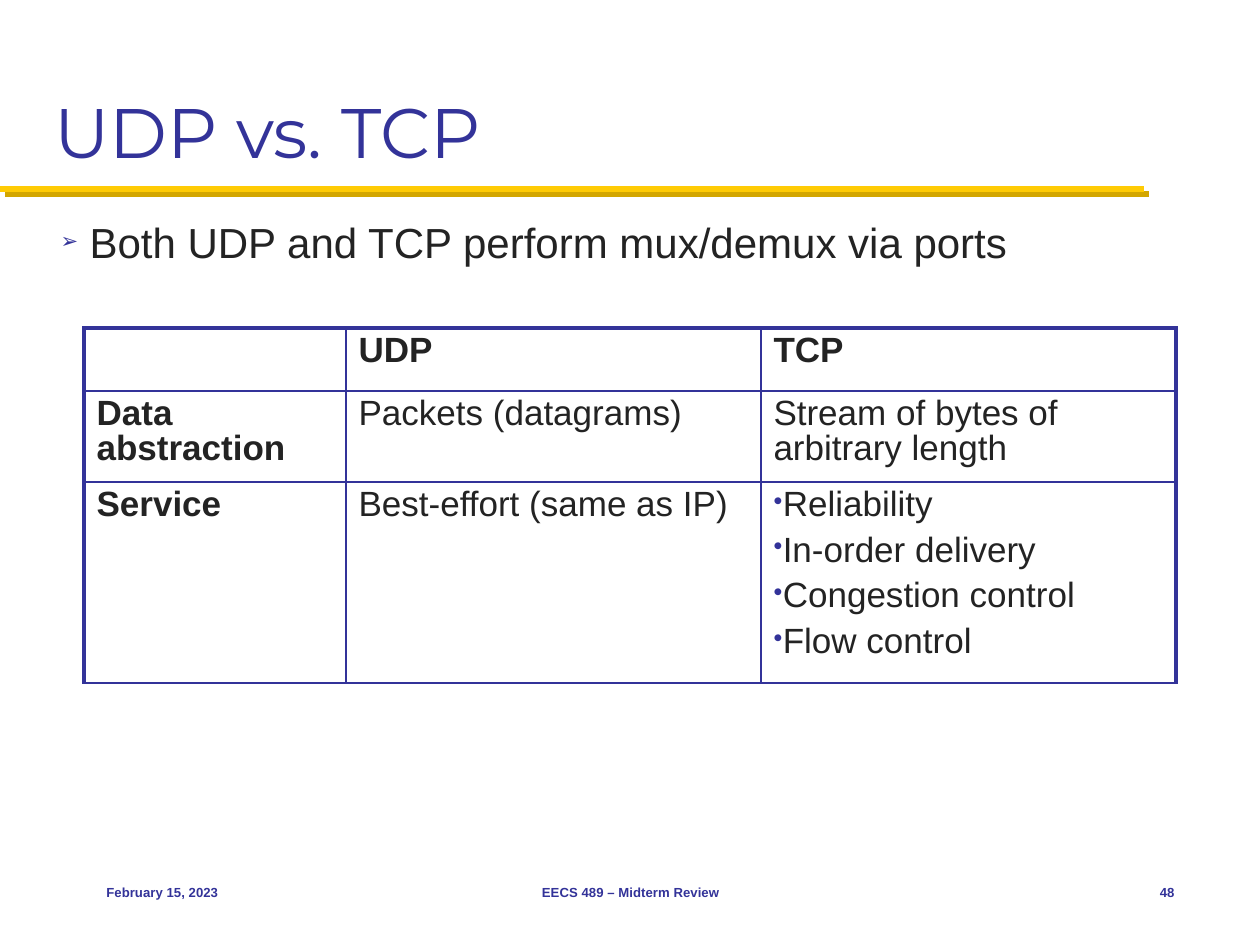
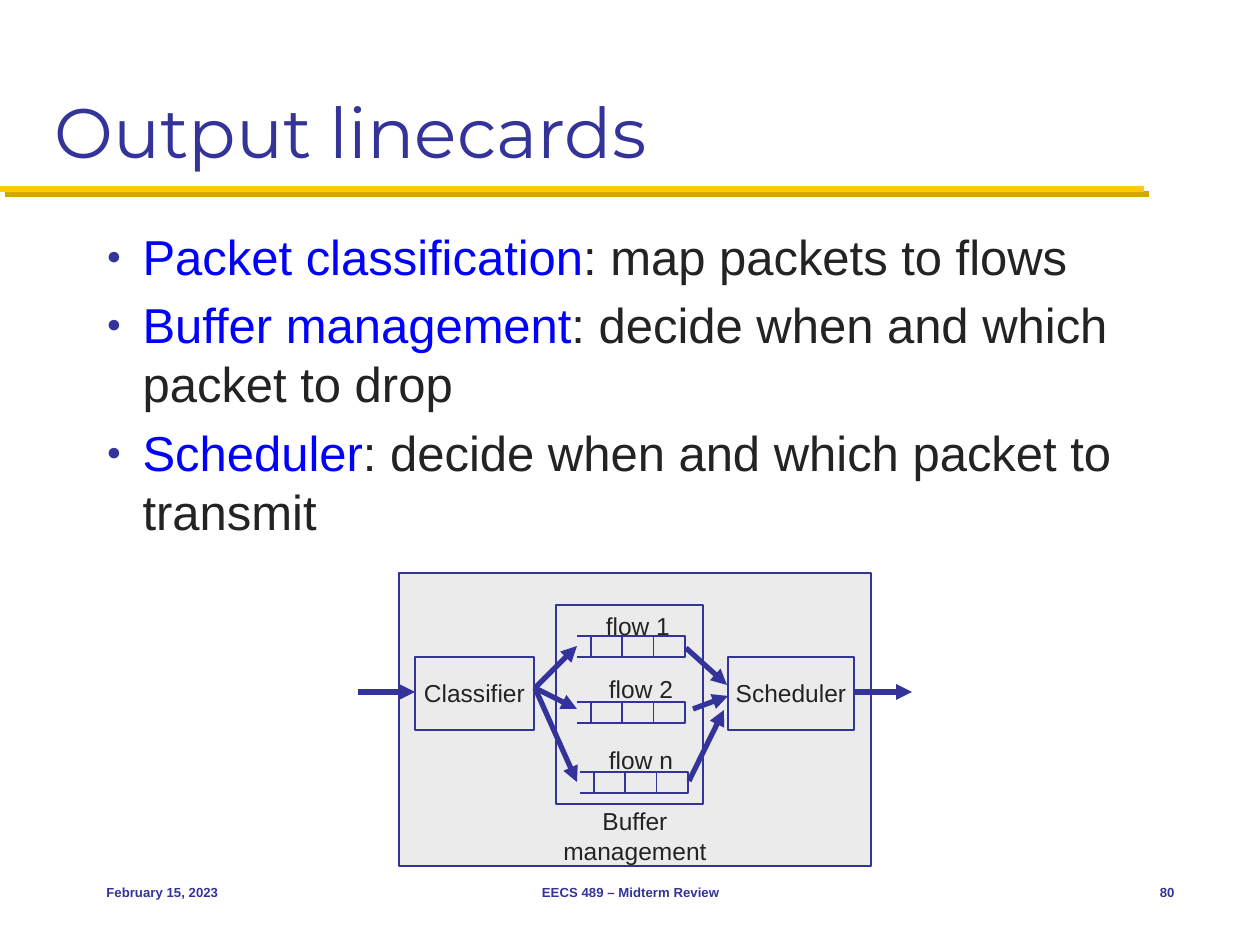
"""Builds two networking review slides: a protocol comparison and a linecard diagram."""
import lxml.etree
import pptx
import pptx.dml.color
import pptx.enum.shapes
import pptx.enum.text
import pptx.oxml.ns
import pptx.util

RGB = pptx.dml.color.RGBColor
NAVY = RGB(0x33, 0x33, 0x99)
INK = RGB(0x23, 0x23, 0x23)
BLUE = RGB(0x00, 0x00, 0xFF)
GOLD = RGB(0xFF, 0xCB, 0x05)
DARK_GOLD = RGB(0xD3, 0xA6, 0x00)
PALE = RGB(0xEB, 0xEB, 0xEB)

ALIGN = pptx.enum.text.PP_ALIGN
ANCHOR = pptx.enum.text.MSO_ANCHOR
NO_AUTOSIZE = pptx.enum.text.MSO_AUTO_SIZE.NONE
RECTANGLE = pptx.enum.shapes.MSO_SHAPE.RECTANGLE
STRAIGHT = pptx.enum.shapes.MSO_CONNECTOR.STRAIGHT
PIXELS_PER_INCH = 126

DATE = "February 15, 2023"
COURSE = "EECS 489 – Midterm Review"
TITLE_BOX = (42, 21, 1176, 158)
BAND = (0, 189, 1144, 189)
DATE_BOX = (94, 861, 262, 63)
COURSE_BOX = (431, 861, 399, 63)
NUMBER_BOX = (1102, 861, 85, 63)

PORTS = "Both UDP and TCP perform mux/demux via ports"
PORTS_BOX = (0, 210, 1113, 95)
COMPARISON = [
    [[], ["UDP"], ["TCP"]],
    [["Data abstraction"], ["Packets (datagrams)"], ["Stream of bytes of arbitrary length"]],
    [["Service"], ["Best-effort (same as IP)"],
     ["Reliability", "In-order delivery", "Congestion control", "Flow control"]],
]
COMPARISON_ORIGIN = (84, 328)
COLUMN_WIDTHS = (262, 415, 415)
ROW_HEIGHTS = (63, 91, 201)

DUTIES = [
    ("Packet classification", ": map packets to flows"),
    ("Buffer management", ": decide when and which packet to drop"),
    ("Scheduler", ": decide when and which packet to transmit"),
]
DUTIES_BOX = (94, 220, 1092, 609)
LINECARD_BOXES = [
    ((399, 573, 472, 293), PALE),
    ((556, 605, 147, 199), PALE),
    ((415, 657, 119, 73), None),
    ((728, 657, 126, 73), None),
]
QUEUES = [(577, 636), (577, 702), (580, 772)]
QUEUE_HEIGHT = 21
QUEUE_LEAD = 14
SLOT_WIDTH = 31.25
SLOTS = 3
LABELS = [
    ("Classifier", (411, 672, 127, 42), False),
    ("Scheduler", (723, 672, 136, 42), False),
    ("flow 1", (593, 605, 90, 42), False),
    ("flow 2", (596, 668, 90, 42), False),
    ("flow n", (596, 739, 90, 42), False),
    ("Buffer management", (529, 800, 212, 72), True),
]
ARROWS = [
    (358, 692, 415, 692),
    (535, 688, 577, 646),
    (535, 688, 577, 709),
    (535, 688, 577, 782),
    (686, 648, 727, 685),
    (693, 709, 728, 696),
    (689, 781, 724, 710),
    (855, 692, 912, 692),
]


def px(*lengths):
    return [pptx.util.Inches(length / PIXELS_PER_INCH) for length in lengths]


def add_xml(parent, tag, **attributes):
    child = lxml.etree.SubElement(parent, pptx.oxml.ns.qn(tag))
    for key, value in attributes.items():
        child.set(key, str(value))
    return child


def style(font, size, color, bold=False, face="Arial"):
    font.name, font.size, font.bold = face, pptx.util.Pt(size), bold
    font.color.rgb = color


def set_bullet(paragraph, char, percent, margin=0, hanging=0):
    properties = paragraph._p.get_or_add_pPr()
    properties.set("marL", str(px(margin)[0]))
    properties.set("indent", str(-px(hanging)[0]))
    add_xml(add_xml(properties, "a:buClr"), "a:srgbClr", val=NAVY)
    add_xml(properties, "a:buSzPct", val=percent * 1000)
    add_xml(properties, "a:buChar", char=char)


def place(placeholder, box):
    placeholder.left, placeholder.top, placeholder.width, placeholder.height = px(*box)
    placeholder.text_frame.auto_size = NO_AUTOSIZE
    return placeholder.text_frame


def paragraphs_for(frame, items):
    for index, item in enumerate(items):
        yield (frame.add_paragraph() if index else frame.paragraphs[0]), item


def add_text(slide, text, box, size, color, align, bold=False, wrap=True, anchor=ANCHOR.TOP):
    frame = slide.shapes.add_textbox(*px(*box)).text_frame
    frame.word_wrap, frame.vertical_anchor = wrap, anchor
    paragraph = frame.paragraphs[0]
    paragraph.text, paragraph.alignment = text, align
    style(paragraph.font, size, color, bold)


def add_line(shapes, ends, width=1, color=NAVY, arrow=False):
    line = shapes.add_connector(STRAIGHT, *px(*ends))
    line.line.color.rgb, line.line.width = color, pptx.util.Pt(width)
    if arrow:
        add_xml(line.line._get_or_add_ln(), "a:tailEnd", type="triangle")
    return add_xml(line._element.spPr, "a:effectLst")


def add_box(shapes, box, fill=None):
    outline = shapes.add_shape(RECTANGLE, *px(*box))
    outline.shadow.inherit = False
    outline.line.color.rgb, outline.line.width = NAVY, pptx.util.Pt(1)
    if fill is None:
        outline.fill.background()
    else:
        outline.fill.solid()
        outline.fill.fore_color.rgb = fill


def add_slide(deck, title, number):
    slide = deck.slides.add_slide(deck.slide_layouts[1])
    effects = add_line(slide.shapes, BAND, 3.5, GOLD)
    shadow = add_xml(effects, "a:outerShdw", blurRad=0, dist=pptx.util.Pt(4.2),
                     dir=45 * 60000, algn="ctr", rotWithShape=0)
    add_xml(shadow, "a:srgbClr", val=DARK_GOLD)
    heading = place(slide.shapes.title, TITLE_BOX)
    heading.vertical_anchor = ANCHOR.BOTTOM
    paragraph = heading.paragraphs[0]
    paragraph.text, paragraph.alignment = title, ALIGN.LEFT
    style(paragraph.font, 40, NAVY, face="Montserrat")
    for text, box, align in ((DATE, DATE_BOX, ALIGN.LEFT), (COURSE, COURSE_BOX, ALIGN.CENTER),
                             (str(number), NUMBER_BOX, ALIGN.RIGHT)):
        add_text(slide, text, box, 7.5, NAVY, align, bold=True, anchor=ANCHOR.MIDDLE)
    return slide


def set_borders(cell, widths):
    properties = cell._tc.get_or_add_tcPr()
    for side, width in zip("LRTB", widths):
        border = add_xml(properties, f"a:ln{side}", w=pptx.util.Pt(width))
        add_xml(add_xml(border, "a:solidFill"), "a:srgbClr", val=NAVY)
    cell.fill.background()


def add_comparison(slide):
    size = px(sum(COLUMN_WIDTHS), sum(ROW_HEIGHTS))
    table = slide.shapes.add_table(len(ROW_HEIGHTS), len(COLUMN_WIDTHS),
                                   *px(*COMPARISON_ORIGIN), *size).table
    for column, width in zip(table.columns, px(*COLUMN_WIDTHS)):
        column.width = width
    for row, height in zip(table.rows, px(*ROW_HEIGHTS)):
        row.height = height
    last = len(COLUMN_WIDTHS) - 1
    for r, entries in enumerate(COMPARISON):
        for c, lines in enumerate(entries):
            cell = table.cell(r, c)
            outer = (c == 0, c == last, r == 0, False)
            set_borders(cell, [2.25 if edge else 1 for edge in outer])
            for paragraph, line in paragraphs_for(cell.text_frame, lines):
                paragraph.text = line
                if len(lines) > 1:
                    set_bullet(paragraph, "•", 75)
                paragraph.line_spacing, paragraph.space_before = 0.9, pptx.util.Pt(6)
                style(paragraph.font, 20, INK, bold=r == 0 or c == 0)


def add_queue(slide, left, top):
    shapes = slide.shapes.add_group_shape().shapes
    start, bottom = left + QUEUE_LEAD, top + QUEUE_HEIGHT
    add_box(shapes, (start, top, SLOTS * SLOT_WIDTH, QUEUE_HEIGHT))
    for slot in range(1, SLOTS + 1):
        x = start + slot * SLOT_WIDTH
        add_line(shapes, (x, top, x, bottom))
    for y in (top, bottom):
        add_line(shapes, (left, y, left + 24, y))


def build_protocols(deck):
    slide = add_slide(deck, "UDP vs. TCP", 48)
    paragraph = place(slide.placeholders[1], PORTS_BOX).paragraphs[0]
    paragraph.text, paragraph.level = PORTS, 1
    set_bullet(paragraph, "➢", 50, 77, 29)
    style(paragraph.font, 24, INK)
    add_comparison(slide)


def build_linecards(deck):
    slide = add_slide(deck, "Output linecards", 80)
    frame = place(slide.placeholders[1], DUTIES_BOX)
    for paragraph, parts in paragraphs_for(frame, DUTIES):
        set_bullet(paragraph, "●", 50, 36, 36)
        for text, color in zip(parts, (BLUE, INK)):
            run = paragraph.add_run()
            run.text = text
            style(run.font, 28, color)
    for box, fill in LINECARD_BOXES:
        add_box(slide.shapes, box, fill)
    for left, top in QUEUES:
        add_queue(slide, left, top)
    for text, box, wrap in LABELS:
        add_text(slide, text, box, 14, INK, ALIGN.CENTER, wrap=wrap)
    for ends in ARROWS:
        add_line(slide.shapes, ends, 3, arrow=True)


deck = pptx.Presentation()
deck.slide_width, deck.slide_height = px(1260, 945)
build_protocols(deck)
build_linecards(deck)
deck.save("out.pptx")
